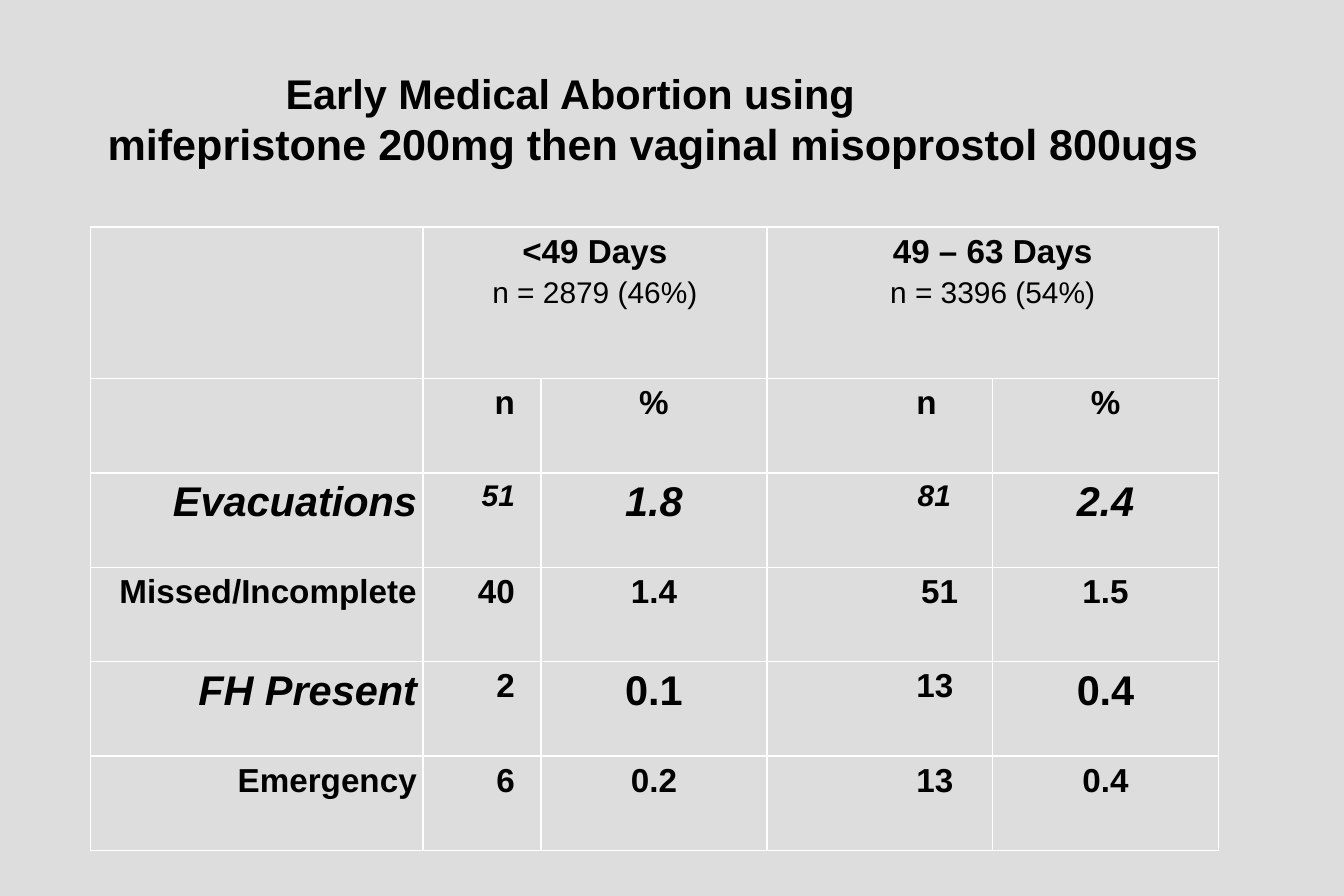
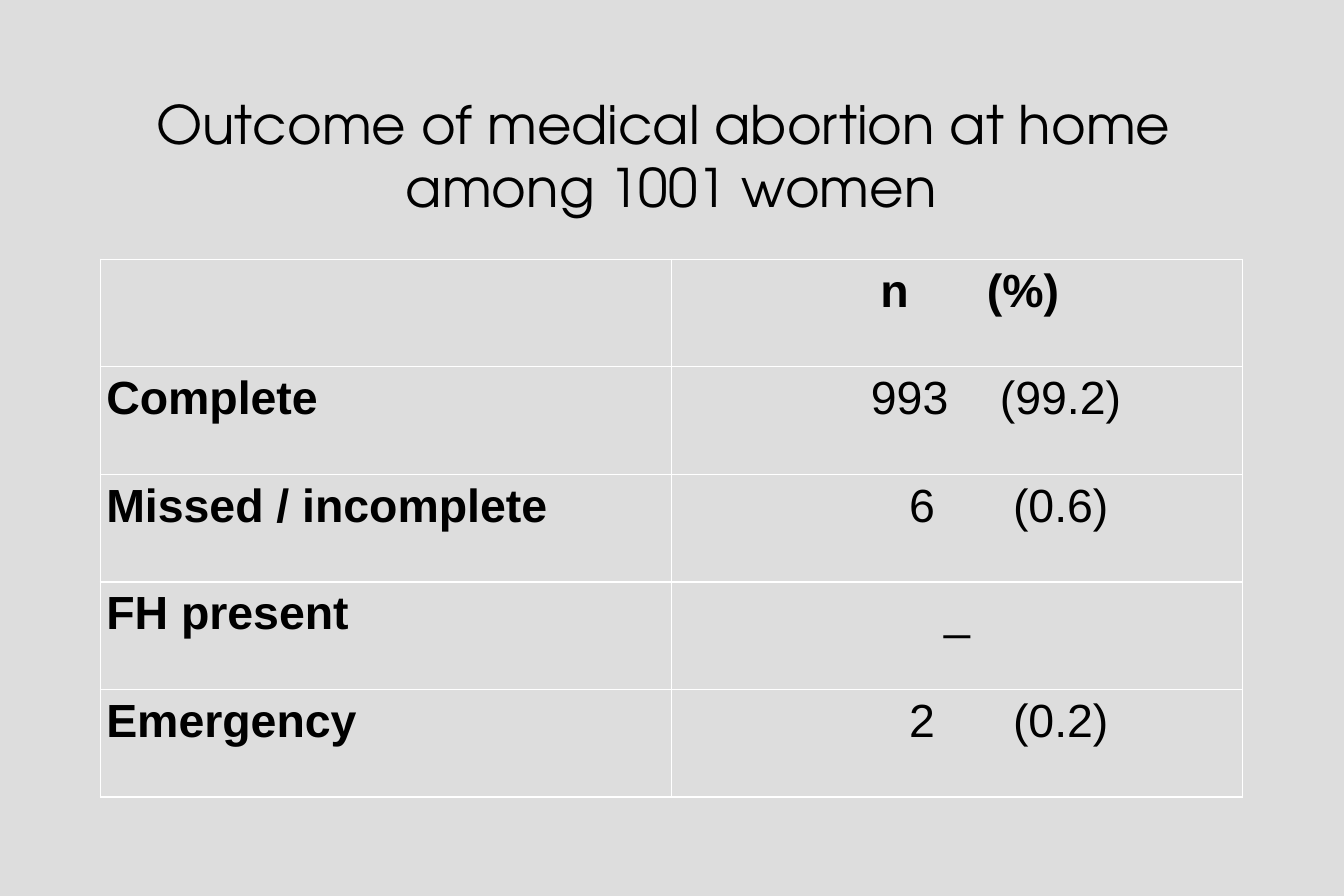
"""Build two slides of tabulated medical outcomes."""
from dataclasses import dataclass

from lxml import etree
from pptx import Presentation
from pptx.dml.color import RGBColor
from pptx.enum.text import MSO_ANCHOR, MSO_AUTO_SIZE, PP_ALIGN
from pptx.oxml.ns import qn
from pptx.slide import Slide
from pptx.table import Table, _Cell
from pptx.text.text import _Paragraph
from pptx.util import Inches, Pt

GREY = RGBColor(0xDD, 0xDD, 0xDD)
BLACK = RGBColor(0x00, 0x00, 0x00)
WHITE = RGBColor(0xFF, 0xFF, 0xFF)
SANS = "Arial"
GEOMETRIC = "TeX Gyre Adventor"
LEFT, CENTER, RIGHT = PP_ALIGN.LEFT, PP_ALIGN.CENTER, PP_ALIGN.RIGHT
TOP, MIDDLE = MSO_ANCHOR.TOP, MSO_ANCHOR.MIDDLE
NO_FIT = MSO_AUTO_SIZE.NONE
TITLE_ONLY = 5
INSET = 0.05
BORDER = Pt(1)


@dataclass(frozen=True)
class Line:
    text: str
    size: float
    bold: bool = True
    italic: bool = False
    font: str = SANS
    tab: float = 0


@dataclass(frozen=True)
class Entry:
    lines: tuple[Line, ...]
    align: PP_ALIGN = CENTER
    left: float = INSET
    right: float = INSET


@dataclass(frozen=True)
class Box:
    left: float
    top: float
    width: float
    height: float


@dataclass(frozen=True)
class Outcome:
    label: str
    early: str
    early_pct: str
    late: str
    late_pct: str
    late_inset: float
    sizes: tuple[int, int, int] = (20, 20, 20)
    italics: tuple[bool, bool, bool] = (False, False, False)


OUTCOMES = (
    Outcome("", "n", "%", "n", "%", 0.47),
    Outcome("Evacuations", "51", "1.8", "81", "2.4", 0.35, (25, 18, 25), (True, True, True)),
    Outcome("Missed/Incomplete", "40", "1.4", "51", "1.5", 0.29),
    Outcome("FH Present", "2", "0.1", "13", "0.4", 0.33, (25, 20, 25), (True, False, False)),
    Outcome("Emergency", "6", "0.2", "13", "0.4", 0.33),
)
HOME_OUTCOMES = (
    ("", "n\t(%)", 1.75, 0.89),
    ("Complete", "993\t(99.2)", 1.67, 1.08),
    ("Missed / incomplete", "6\t(0.6)", 1.99, 0.87),
    ("FH present", "_", 0, 0),
    ("Emergency", "2\t(0.2)", 1.99, 0.87),
)


def write_line(p: _Paragraph, line: Line, align: PP_ALIGN, before: float) -> None:
    """Write and format one paragraph."""
    p.text = line.text
    p.alignment = align
    p.space_before = Pt(before)
    if line.tab:
        tabs = etree.SubElement(p._p.get_or_add_pPr(), qn("a:tabLst"))
        etree.SubElement(tabs, qn("a:tab"), pos=str(Inches(line.tab)), algn="l")
    for r in p.runs:
        r.font.name = line.font
        r.font.size = Pt(line.size)
        r.font.bold = line.bold
        r.font.italic = line.italic
        r.font.color.rgb = BLACK


def write_title(s: Slide, box: Box, lines: tuple[Line, ...], align: PP_ALIGN, anchor: MSO_ANCHOR) -> None:
    """Place and fill the title placeholder."""
    sp = s.shapes.title
    sp.left, sp.top = Inches(box.left), Inches(box.top)
    sp.width, sp.height = Inches(box.width), Inches(box.height)
    tf = sp.text_frame
    tf.word_wrap = True
    tf.auto_size = NO_FIT
    tf.vertical_anchor = anchor
    tf.margin_left = tf.margin_right = tf.margin_top = tf.margin_bottom = Inches(INSET)
    for i, line in enumerate(lines):
        p = tf.add_paragraph() if i else tf.paragraphs[0]
        write_line(p, line, align, 0)


def style_cell(cell: _Cell) -> None:
    """Make a cell clear, with white borders."""
    cell.fill.background()
    cell.margin_top = cell.margin_bottom = Inches(INSET)
    tcPr = cell._tc.get_or_add_tcPr()
    for i, side in enumerate(("lnL", "lnR", "lnT", "lnB")):
        ln = etree.Element(qn(f"a:{side}"), w=str(BORDER))
        fill = etree.SubElement(ln, qn("a:solidFill"))
        etree.SubElement(fill, qn("a:srgbClr"), val=str(WHITE))
        tcPr.insert(i, ln)


def write_cell(cell: _Cell, entry: Entry, before: float) -> None:
    """Fill a cell with its lines."""
    cell.margin_left, cell.margin_right = Inches(entry.left), Inches(entry.right)
    for i, line in enumerate(entry.lines):
        p = cell.text_frame.add_paragraph() if i else cell.text_frame.paragraphs[0]
        write_line(p, line, entry.align, before)


def draw_table(s: Slide, left: float, top: float, cols: list[float], rows: list[float],
               entries: dict[tuple[int, int], Entry], before: float) -> Table:
    """Draw a table from entries keyed by row and column."""
    table = s.shapes.add_table(len(rows), len(cols), Inches(left), Inches(top),
                               Inches(sum(cols)), Inches(sum(rows))).table
    table.first_row = table.horz_banding = False
    for col, width in zip(table.columns, cols):
        col.width = Inches(width)
    for row, height in zip(table.rows, rows):
        row.height = Inches(height)
    for cell in table.iter_cells():
        style_cell(cell)
    for (row, col), entry in entries.items():
        write_cell(table.cell(row, col), entry, before)
    return table


def gestation_slide(s: Slide) -> None:
    """Outcomes by length of gestation."""
    write_title(s, Box(0.85, 0.52, 9.76, 0.96), (
        Line("\tEarly Medical Abortion using", 25, tab=1.49),
        Line("mifepristone 200mg then vaginal misoprostol 800ugs", 26),
    ), LEFT, TOP)
    entries = {
        (0, 1): Entry((Line("<49 Days", 20), Line("n = 2879 (46%)", 18, bold=False))),
        (0, 3): Entry((Line("49 – 63 Days", 20), Line("n = 3396 (54%)", 18, bold=False))),
    }
    for row, o in enumerate(OUTCOMES, 1):
        label, count, pct = zip(o.sizes, (True,) * 3, o.italics)
        if o.label:
            entries[row, 0] = Entry((Line(o.label, *label),), RIGHT)
        entries[row, 1] = Entry((Line(o.early, *count),), RIGHT, right=0.22)
        entries[row, 2] = Entry((Line(o.early_pct, *pct),))
        entries[row, 3] = Entry((Line(o.late, *count),), RIGHT, right=o.late_inset)
        entries[row, 4] = Entry((Line(o.late_pct, *pct),))
    table = draw_table(s, 0.76, 1.9, [2.78, 0.99] + [1.89] * 3,
                       [1.27] + [0.79] * len(OUTCOMES), entries, 4)
    for col in (1, 3):
        table.cell(0, col).merge(table.cell(0, col + 1))


def home_slide(s: Slide) -> None:
    """Outcomes of treatment at home."""
    write_title(s, Box(0.84, 0.67, 9.56, 1.25), tuple(
        Line(text, 32, bold=False, font=GEOMETRIC)
        for text in ("Outcome of medical abortion at home ", "among 1001 women")
    ), CENTER, MIDDLE)
    entries = {}
    for row, (label, value, left, tab) in enumerate(HOME_OUTCOMES):
        if label:
            entries[row, 0] = Entry((Line(label, 28),), LEFT)
        line = Line(value, 28, bold=row == 0, tab=tab)
        entries[row, 1] = Entry((line,), LEFT, left=left) if tab else Entry((line,))
    draw_table(s, 0.84, 2.17, [4.78] * 2, [0.9] * len(HOME_OUTCOMES), entries, 6)


def main() -> None:
    """Build and save the presentation."""
    prs = Presentation()
    prs.slide_width, prs.slide_height = Inches(11.25), Inches(7.5)
    fill = prs.slide_master.background.fill
    fill.solid()
    fill.fore_color.rgb = GREY
    for build in (gestation_slide, home_slide):
        build(prs.slides.add_slide(prs.slide_layouts[TITLE_ONLY]))
    prs.save("out.pptx")


if __name__ == "__main__":
    main()
